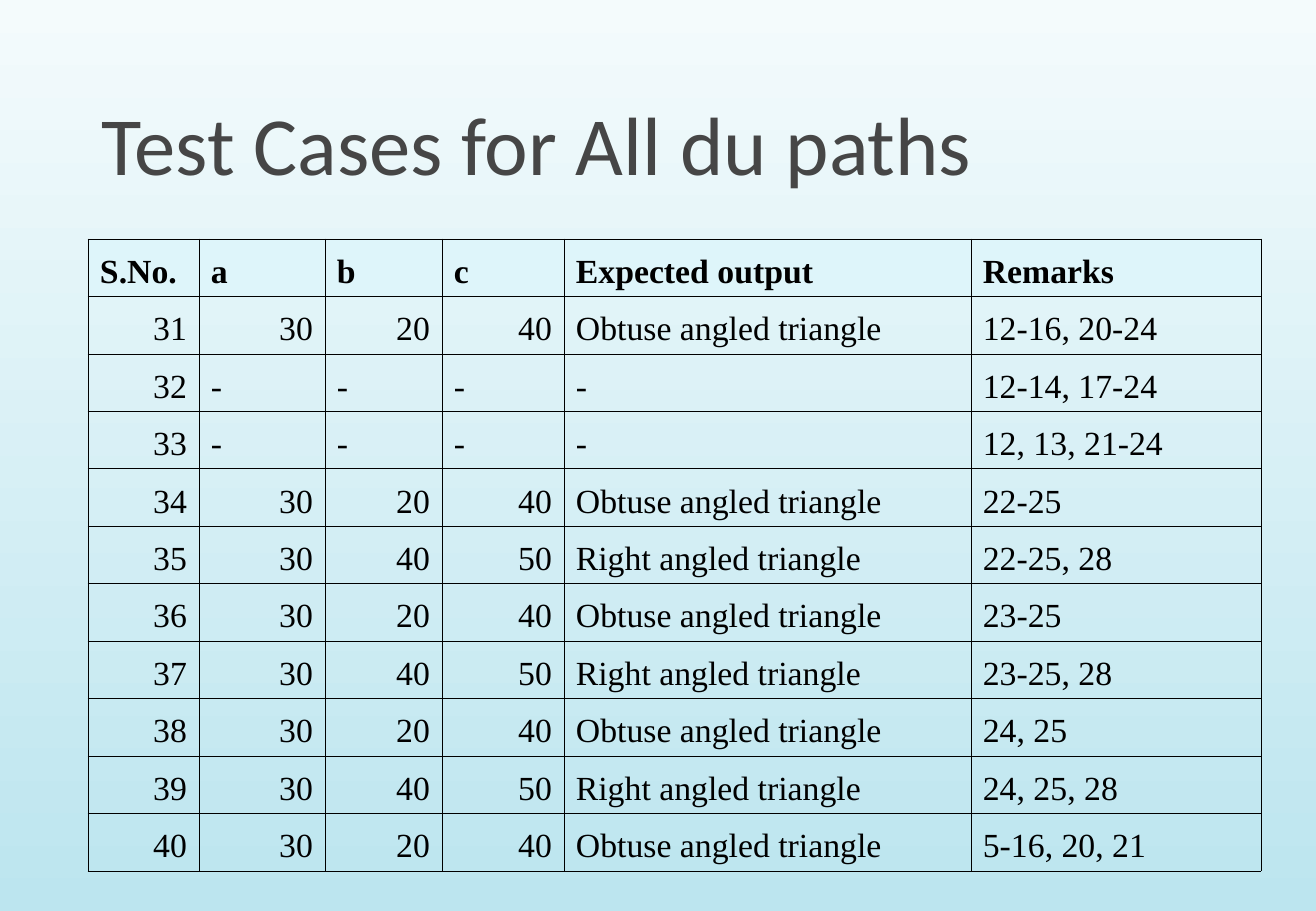
from pptx import Presentation
from pptx.dml.color import RGBColor
from pptx.enum.text import MSO_ANCHOR, MSO_AUTO_SIZE, PP_ALIGN
from pptx.oxml import parse_xml
from pptx.oxml.ns import nsdecls
from pptx.util import Emu, Pt

COLORS = {"sky": "F4FBFC", "aqua": "BCE5EF", "header": "DEF5FA",
          "title": "464646", "ink": "000000"}
COLUMN_WIDTHS = [111, 126, 117, 122, 407, 290]
HEADER = ["S.No.", "a", "b", "c", "Expected output", "Remarks"]
OBTUSE = ["30", "20", "40", "Obtuse angled triangle"]
RIGHT = ["30", "40", "50", "Right angled triangle"]
UNUSED = ["-"] * 4
CASES = [
    (OBTUSE, "12-16, 20-24"),
    (UNUSED, "12-14, 17-24"),
    (UNUSED, "12, 13, 21-24"),
    (OBTUSE, "22-25"),
    (RIGHT, "22-25, 28"),
    (OBTUSE, "23-25"),
    (RIGHT, "23-25, 28"),
    (OBTUSE, "24, 25"),
    (RIGHT, "24, 25, 28"),
    (OBTUSE, "5-16, 20, 21"),
]
FIRST_CASE = 31


def px(length):
    """Turn whole pixels into EMU."""
    return Emu(round(length * 914400 / 121.4))


def color(name):
    """Look up a named colour."""
    return RGBColor.from_string(COLORS[name])


def write(text_frame, text, font="Times New Roman", size=20, ink="ink",
          bold=False, align=PP_ALIGN.LEFT, hanging=0):
    """Write one formatted paragraph into a text frame."""
    paragraph = text_frame.paragraphs[0]
    paragraph.alignment = align
    if hanging:
        properties = paragraph._p.get_or_add_pPr()
        properties.set("marL", str(px(hanging)))
        properties.set("indent", str(px(-hanging)))
    run = paragraph.add_run()
    run.text = text
    run.font.name = font
    run.font.size = Pt(size)
    run.font.bold = bold
    run.font.color.rgb = color(ink)


class SlideBuilder:
    """Holds the current slide and its style."""

    def __init__(self, presentation):
        """Add a title-only slide."""
        self.slide = presentation.slides.add_slide(presentation.slide_layouts[5])
        self.border_width = Pt(0.45)

    def background(self, top, bottom):
        """Fill the background with a vertical gradient."""
        fill = self.slide.background.fill
        fill.gradient()
        fill.gradient_angle = 270
        for stop, name in zip(fill.gradient_stops, (top, bottom)):
            stop.color.rgb = color(name)

    def title(self, text, left, top, width, height):
        """Place and format the title placeholder."""
        shape = self.slide.shapes.title
        shape.left, shape.top = px(left), px(top)
        shape.width, shape.height = px(width), px(height)
        frame = shape.text_frame
        frame.auto_size = MSO_AUTO_SIZE.NONE
        frame.word_wrap = True
        frame.vertical_anchor = MSO_ANCHOR.BOTTOM
        frame.margin_left = frame.margin_right = px(15)
        frame.margin_top = frame.margin_bottom = px(7)
        write(frame, text, font="Calibri", size=49, ink="title")

    def borders(self, cell):
        """Draw a thin line on each side of a cell."""
        properties = cell._tc.get_or_add_tcPr()
        for position, side in enumerate(("lnL", "lnR", "lnT", "lnB")):
            properties.insert(position, parse_xml(
                f'<a:{side} {nsdecls("a")} w="{self.border_width}"><a:solidFill>'
                f'<a:srgbClr val="{COLORS["ink"]}"/></a:solidFill></a:{side}>'))

    def cell(self, cell, text, is_header):
        """Fill and write one table cell."""
        cell.vertical_anchor = MSO_ANCHOR.BOTTOM
        cell.margin_left = cell.margin_right = px(12)
        cell.margin_top = cell.margin_bottom = px(6)
        if is_header:
            cell.fill.solid()
            cell.fill.fore_color.rgb = color("header")
        else:
            cell.fill.background()
        self.borders(cell)
        align = PP_ALIGN.RIGHT if text.isdigit() else PP_ALIGN.LEFT
        write(cell.text_frame, text, bold=is_header, align=align, hanging=50)

    def table(self, rows, widths, left, top, height):
        """Add a ruled table with equal rows and a header."""
        table = self.slide.shapes.add_table(
            len(rows), len(widths), px(left), px(top), px(sum(widths)), px(height)).table
        table.first_row = table.horz_banding = False
        for column, width in zip(table.columns, widths):
            column.width = px(width)
        for row_index, texts in enumerate(rows):
            table.rows[row_index].height = px(height / len(rows))
            for column_index, text in enumerate(texts):
                self.cell(table.cell(row_index, column_index), text, row_index == 0)


def main():
    """Build and save the slide."""
    presentation = Presentation()
    presentation.slide_width, presentation.slide_height = px(1316), px(911)
    builder = SlideBuilder(presentation)
    builder.background("sky", "aqua")
    builder.title("Test Cases for All du paths", 87, 21, 1173, 178)
    rows = [HEADER] + [[str(number), *values, remark]
                       for number, (values, remark) in enumerate(CASES, FIRST_CASE)]
    builder.table(rows, COLUMN_WIDTHS, 88, 239, 632)
    presentation.save("out.pptx")


if __name__ == "__main__":
    main()
